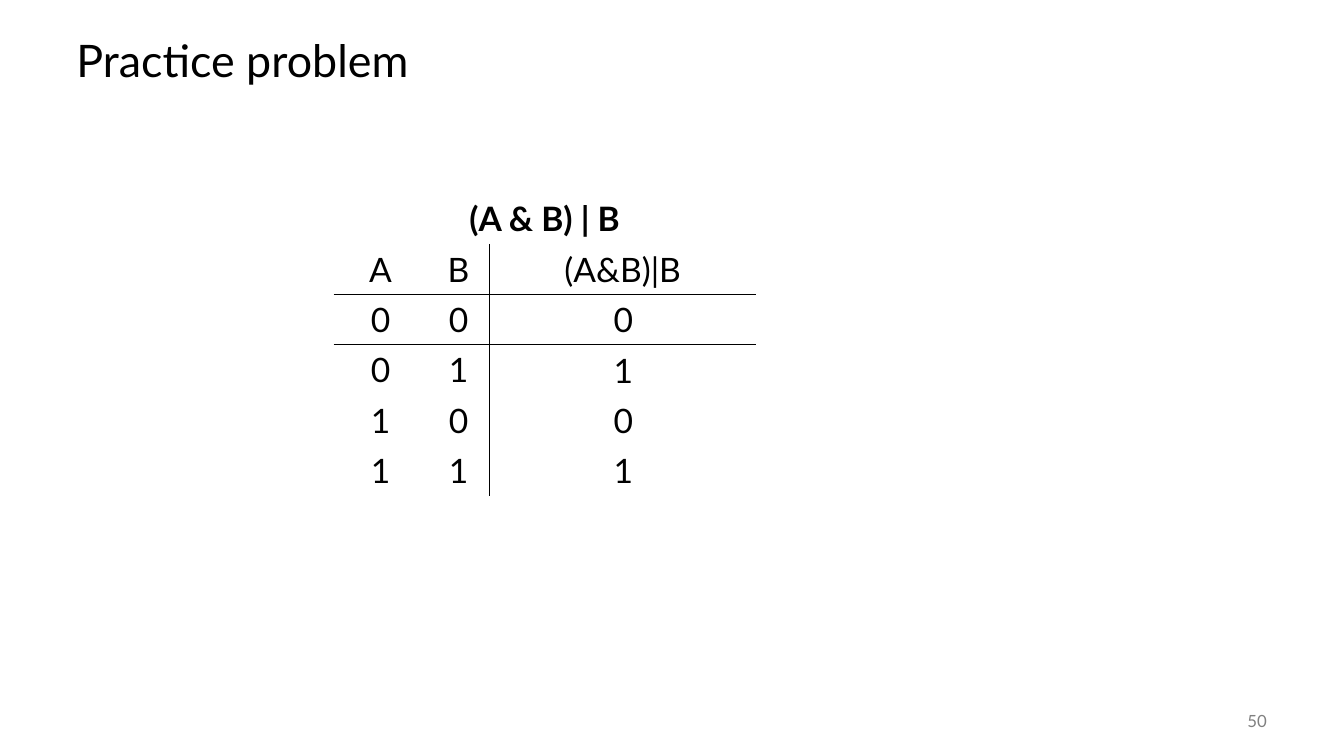
from lxml import etree
from pptx import Presentation
from pptx import util as u
from pptx.dml.color import RGBColor
from pptx.enum import text
from pptx.oxml.ns import qn

COLORS = {"ink": "000000", "number": "808080"}
PLAIN_TABLE_STYLE = "{2D5ABB26-0587-4C30-8999-92F81FD0307C}"
FORMULA = "(A & B) | B"
HEADINGS = ["A", "B", "(A&B)|B"]
INPUTS = [(a, b) for a in (0, 1) for b in (0, 1)]
COLUMN_WIDTHS = [67, 44.5, 190]
ROW_HEIGHT = 36
TABLE_LEFT, TABLE_TOP = 238.3, 138.2


def write_text(frame, content, size=24, color="ink", bold=False,
               align=text.PP_ALIGN.LEFT, line_spacing=1.0):
    paragraph = frame.paragraphs[0]
    paragraph.alignment = align
    paragraph.line_spacing = line_spacing
    run = paragraph.add_run()
    run.text = content
    run.font.name = "Lato"
    run.font.size = u.Pt(size)
    run.font.bold = bold
    run.font.color.rgb = RGBColor.from_string(COLORS[color])


class SlideBuilder:
    def __init__(self, slide):
        self.slide = slide

    def text_box(self, left, top, width, height, content,
                 anchor=text.MSO_ANCHOR.MIDDLE, **style):
        box = self.slide.shapes.add_textbox(
            u.Pt(left), u.Pt(top), u.Pt(width), u.Pt(height))
        box.text_frame.word_wrap = True
        box.text_frame.vertical_anchor = anchor
        write_text(box.text_frame, content, **style)

    def table(self, left, top, column_widths, row_count):
        frame = self.slide.shapes.add_table(
            row_count, len(column_widths), u.Pt(left), u.Pt(top),
            u.Pt(sum(column_widths)), u.Pt(row_count * ROW_HEIGHT))
        table = frame.table
        table.first_row = table.horz_banding = False
        table._tbl.tblPr.find(qn("a:tableStyleId")).text = PLAIN_TABLE_STYLE
        for column, width in zip(table.columns, column_widths):
            column.width = u.Pt(width)
        for row in table.rows:
            row.height = u.Pt(ROW_HEIGHT)
        return table

    def cell(self, cell, content="", borders="", **style):
        cell.vertical_anchor = text.MSO_ANCHOR.MIDDLE
        properties = cell._tc.get_or_add_tcPr()
        for side in "LRTB":
            if side in borders:
                line = etree.SubElement(properties, qn(f"a:ln{side}"), w=str(u.Pt(1)))
                fill = etree.SubElement(line, qn("a:solidFill"))
                etree.SubElement(fill, qn("a:srgbClr"), val=COLORS["ink"])
        cell.fill.background()
        if content:
            write_text(cell.text_frame, content, align=text.PP_ALIGN.CENTER, **style)


def main():
    presentation = Presentation()
    presentation.slide_width, presentation.slide_height = u.Pt(960), u.Pt(540)
    slide = presentation.slides.add_slide(presentation.slide_layouts[6])
    builder = SlideBuilder(slide)

    # Title and slide number
    builder.text_box(47.5, 18, 864, 54, "Practice problem", size=32, line_spacing=0.9)
    builder.text_box(840, 500.4, 72, 28.8, "50", size=12, color="number",
                     align=text.PP_ALIGN.RIGHT)

    # Truth table: formula, headings, inputs
    table = builder.table(TABLE_LEFT, TABLE_TOP, COLUMN_WIDTHS, len(INPUTS) + 2)
    table.cell(0, 0).merge(table.cell(0, 2))
    builder.cell(table.cell(0, 0), FORMULA, bold=True)
    divider = ["", "R", "L"]
    rows = [HEADINGS] + [[str(a), str(b), ""] for a, b in INPUTS]
    for row, values in enumerate(rows, start=1):
        rule = {1: "B", 2: "T"}.get(row, "")
        for column, value in enumerate(values):
            builder.cell(table.cell(row, column), value, divider[column] + rule)

    # Answers laid over the last column
    for index, (a, b) in enumerate(INPUTS):
        builder.text_box(431.3, TABLE_TOP + (index + 2) * ROW_HEIGHT, 29.5, ROW_HEIGHT,
                         str((a & b) | b), anchor=text.MSO_ANCHOR.TOP)

    presentation.save("out.pptx")


if __name__ == "__main__":
    main()
